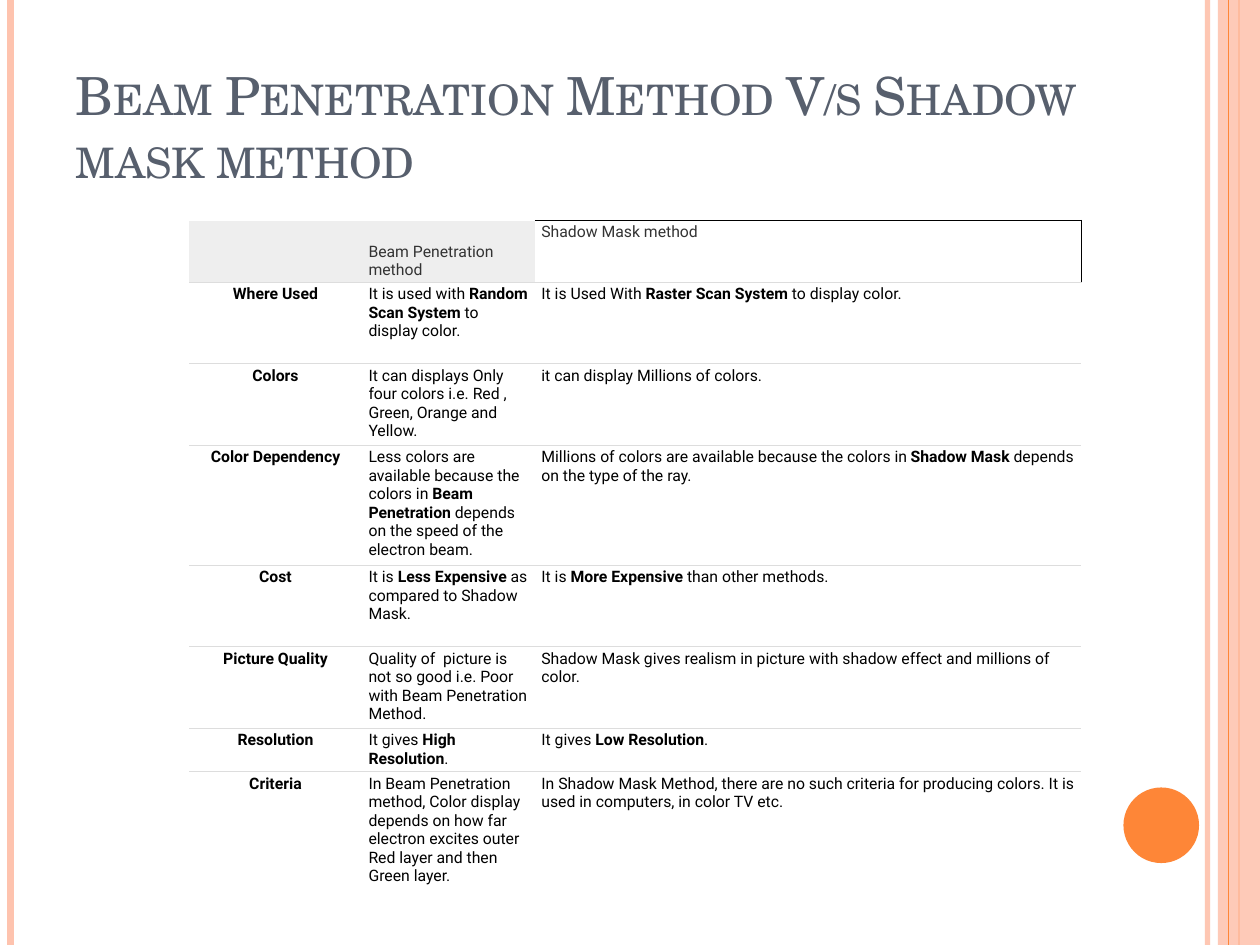
from dataclasses import dataclass

from lxml.etree import SubElement
from pptx import Presentation
from pptx.dml.color import RGBColor
from pptx.enum.shapes import MSO_CONNECTOR, MSO_SHAPE
from pptx.enum.text import MSO_ANCHOR, PP_ALIGN
from pptx.oxml.ns import qn
from pptx.util import Pt


@dataclass(frozen=True)
class Theme:
    """Colours, fonts and type sizes of the slide."""

    peach: str = "FEC3AE"
    orange: str = "FE8637"
    slate: str = "575F6D"
    heading: str = "333333"
    ink: str = "000000"
    header_fill: str = "EEEEEE"
    body_fill: str = "FFFFFF"
    rule: str = "DDDDDD"
    title_font: str = "TeX Gyre Schola"
    body_font: str = "Roboto"
    title_size: float = 30
    body_size: float = 9


THEME = Theme()
SLIDE_WIDTH, SLIDE_HEIGHT = 720, 540
NO_GRID_STYLE = "{2D5ABB26-0587-4C30-8999-92F81FD0307C}"
COLUMN_WIDTHS = (98.8, 98.8, 312.4)
ROW_HEIGHTS = (35.3, 46.6, 46.6, 68.5, 46.6, 46.6, 24.5, 68.5)
ROWS = (
    ("", "Beam Penetration method", "Shadow Mask method"),
    ("*Where Used*",
     "It is used with *Random Scan System* to display color.",
     "It is Used With *Raster Scan System* to display color."),
    ("*Colors*",
     "It can displays Only four colors i.e. Red , Green, Orange and Yellow.",
     "it can display Millions of colors."),
    ("*Color Dependency*",
     "Less colors are available because the colors in* Beam Penetration* depends on the speed of the electron beam.",
     "Millions of colors are available because the colors in *Shadow Mask* depends on the type of the ray."),
    ("*Cost*",
     "It is* Less Expensive* as compared to Shadow Mask.",
     "It is *More Expensive* than other methods."),
    ("*Picture Quality*",
     "Quality of  picture is not so good i.e. Poor with Beam Penetration Method.",
     "Shadow Mask gives realism in picture with shadow effect and millions of color."),
    ("*Resolution*",
     "It gives *High Resolution*.",
     "It gives *Low Resolution*."),
    ("*Criteria*",
     "In Beam Penetration method, Color display depends on how far electron excites outer Red layer and then Green layer.",
     "In Shadow Mask Method, there are no such criteria for producing colors. It is used in computers, in color TV etc."),
)


def rgb(code):
    """Turn a hex code into a colour."""
    return RGBColor.from_string(code)


def set_opacity(shape, percent):
    """Make the explicit colour of a shape partly transparent."""
    for color in shape._element.iter(qn("a:srgbClr")):
        SubElement(color, qn("a:alpha"), val=str(percent * 1000))


def write_text(frame, text, *, font, size, color, align=PP_ALIGN.LEFT, small_caps=False):
    """Write one paragraph in which asterisks enclose bold words."""
    para = frame.paragraphs[0]
    para.alignment = align
    for index, part in enumerate(text.split("*")):
        if not part:
            continue
        span = para.add_run()
        span.text = part
        span.font.name = font
        span.font.size = Pt(size)
        span.font.bold = index % 2 == 1
        span.font.color.rgb = rgb(color)
        if small_caps:
            span.font._element.set("cap", "small")


def add_stripe(page, x, color, width, opacity=100):
    """Draw a vertical line over the full slide height."""
    stripe = page.shapes.add_connector(
        MSO_CONNECTOR.STRAIGHT, Pt(x), Pt(0), Pt(x), Pt(SLIDE_HEIGHT))
    stripe.line.color.rgb = rgb(color)
    stripe.line.width = Pt(width)
    SubElement(stripe._element.spPr, qn("a:effectLst"))
    if opacity < 100:
        set_opacity(stripe, opacity)


def add_plain_shape(page, kind, left, top, width, height, color, opacity=100):
    """Draw a filled shape with neither outline nor shadow."""
    shape = page.shapes.add_shape(kind, Pt(left), Pt(top), Pt(width), Pt(height))
    shape.shadow.inherit = False
    shape.fill.solid()
    shape.fill.fore_color.rgb = rgb(color)
    shape.line.fill.background()
    if opacity < 100:
        set_opacity(shape, opacity)


def add_decoration(page):
    """Draw the stripes, side band and disc."""
    add_stripe(page, 690, THEME.peach, 3, opacity=93)
    add_stripe(page, 6, THEME.peach, 4.5)
    add_stripe(page, 708, THEME.orange, 1.5)
    add_plain_shape(page, MSO_SHAPE.RECTANGLE, 696, 0, 24, SLIDE_HEIGHT, THEME.peach, opacity=87)
    add_stripe(page, 702, THEME.orange, 0.75)
    add_plain_shape(page, MSO_SHAPE.OVAL, 642, 450, 43.2, 43.2, THEME.orange)


def add_title(page, text):
    """Place the small-caps title."""
    box = page.shapes.add_textbox(Pt(36), Pt(21.6), Pt(588), Pt(90))
    box.text_frame.word_wrap = True
    box.text_frame.vertical_anchor = MSO_ANCHOR.BOTTOM
    write_text(box.text_frame, text, font=THEME.title_font, size=THEME.title_size,
               color=THEME.slate, small_caps=True)


def set_borders(cell, borders):
    """Add cell borders from a mapping of side tags to colours."""
    properties = cell._tc.get_or_add_tcPr()
    ordered = [side for side in ("lnL", "lnR", "lnT", "lnB") if side in borders]
    for position, side in enumerate(ordered):
        line = SubElement(properties, qn(f"a:{side}"), w=str(Pt(0.75)))
        fill = SubElement(line, qn("a:solidFill"))
        SubElement(fill, qn("a:srgbClr"), val=borders[side])
        properties.insert(position, line)


def format_cell(cell, text, row, column):
    """Fill, border and write one table cell."""
    cell.margin_left = cell.margin_right = Pt(3.8)
    cell.margin_top = cell.margin_bottom = Pt(1.6)
    is_header = row == 0
    is_open = is_header and column == 2
    if is_open:
        cell.fill.background()
    else:
        cell.fill.solid()
        cell.fill.fore_color.rgb = rgb(THEME.header_fill if is_header else THEME.body_fill)
    if is_header and column == 1:
        cell.vertical_anchor = MSO_ANCHOR.BOTTOM
    borders = {"lnT": THEME.ink, "lnR": THEME.ink} if is_open else {}
    if not is_header:
        borders["lnT"] = THEME.rule
    if row < len(ROWS) - 1:
        borders["lnB"] = THEME.rule
    set_borders(cell, borders)
    write_text(cell.text_frame, text, font=THEME.body_font, size=THEME.body_size,
               color=THEME.heading if is_header else THEME.ink,
               align=PP_ALIGN.LEFT if column else PP_ALIGN.CENTER)


def add_comparison(page):
    """Build the table that compares both methods."""
    frame = page.shapes.add_table(
        len(ROWS), len(COLUMN_WIDTHS), Pt(108), Pt(126),
        Pt(sum(COLUMN_WIDTHS)), Pt(sum(ROW_HEIGHTS)))
    table = frame.table
    table.first_row = table.horz_banding = False
    table._tbl.tblPr.find(qn("a:tableStyleId")).text = NO_GRID_STYLE
    for column, width in zip(table.columns, COLUMN_WIDTHS):
        column.width = Pt(width)
    for row, height in zip(table.rows, ROW_HEIGHTS):
        row.height = Pt(height)
    for row, texts in enumerate(ROWS):
        for column, text in enumerate(texts):
            format_cell(table.cell(row, column), text, row, column)


def main():
    """Build and save the slide."""
    deck = Presentation()
    deck.slide_width, deck.slide_height = Pt(SLIDE_WIDTH), Pt(SLIDE_HEIGHT)
    page = deck.slides.add_slide(deck.slide_layouts[6])
    add_decoration(page)
    add_title(page, "Beam Penetration Method V/s Shadow mask method")
    add_comparison(page)
    deck.save("out.pptx")


if __name__ == "__main__":
    main()
